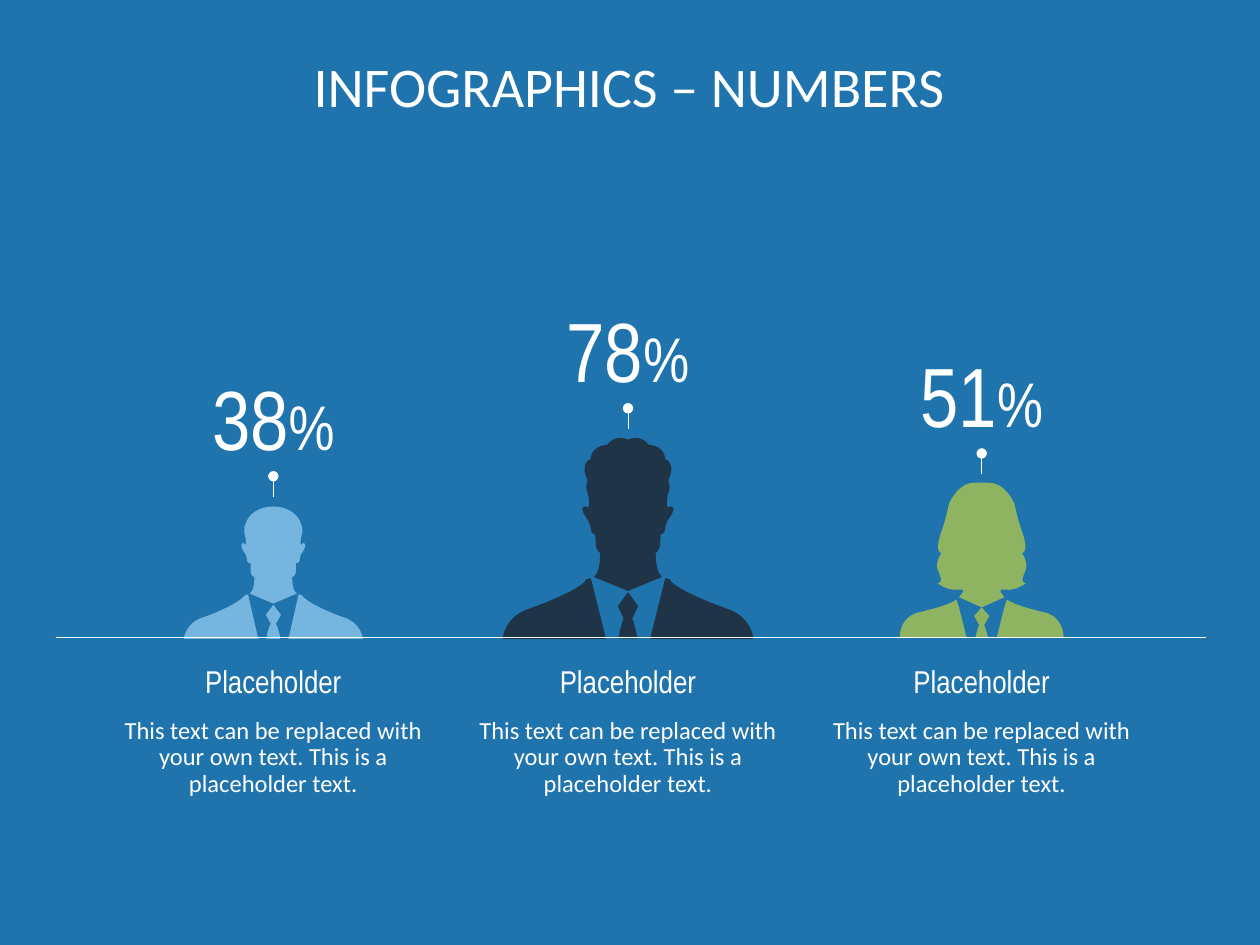
from dataclasses import dataclass

from pptx import Presentation
from pptx.dml.color import RGBColor
from pptx.enum.shapes import MSO_CONNECTOR
from pptx.enum.text import MSO_ANCHOR, PP_ALIGN
from pptx.oxml.ns import qn
from pptx.util import Cm, Pt
from lxml import etree

STRAIGHT = MSO_CONNECTOR.STRAIGHT
CENTER = PP_ALIGN.CENTER
TOP, BOTTOM = MSO_ANCHOR.TOP, MSO_ANCHOR.BOTTOM


@dataclass(frozen=True)
class Theme:
    background: str = "1F74AD"
    white: str = "FFFFFF"
    navy: str = "212E3C"
    sky: str = "85C1E9"
    green: str = "9BBB59"
    body_font: str = "Calibri"
    narrow_font: str = "Arial Narrow"
    title_size: int = 32
    number_size: int = 48
    percent_size: int = 36
    heading_size: int = 18
    body_size: int = 14
    line_width: float = 0.5


THEME = Theme()

# Outlines: right half only, x from the figure's axis, y from the slide top.
# Two values are a line; four or six are a curve with one or two controls.
UNIT = 0.0254  # cm per outline unit
CURVE_STEPS = 8

BALD_MAN = {
    "tie": [(0, 480), (6, 488), (2, 495), (5, 501, 5.5, 507)],
    "head": [(0, 402), (11, 402, 20, 408, 22, 416), (23, 417, 23, 419, 23, 420),
             (23, 422, 23, 423), (21, 429, 22, 433), (22, 432, 24, 431),
             (28, 432, 22, 440), (21, 442, 21, 444), (21, 447, 18, 447),
             (18, 453), (18, 457, 15, 458), (15, 467, 17, 470, 19, 471),
             (0, 479)],
    "jacket": [(20, 472), (22, 472), (24, 474), (31, 481, 53, 489),
               (70, 493, 71, 507), (12, 507)],
}
CURLY_MAN = {
    "tie": [(0, 470), (8, 481), (3.5, 491), (6.5, 499, 7.5, 507)],
    "head": [(0, 349), (10, 344, 16.5, 353), (29.5, 354, 29.5, 364),
             (39, 369, 32, 381), (34, 387, 32.5, 390), (29.5, 398, 31.5, 403),
             (31.5, 402, 34.5, 402), (39.5, 403, 31.5, 413),
             (30, 417, 29.5, 419), (29.5, 424, 26, 424), (25.5, 432),
             (25, 437, 22, 439), (22, 452, 25, 456, 27, 458), (0, 469)],
    "jacket": [(29.5, 459), (30.5, 459), (33.5, 460), (34.5, 462),
               (44.5, 471, 75.5, 482), (98.5, 488, 99.5, 507), (17.5, 507)],
}
WOMAN = {
    "tie": [(0, 482), (6, 489), (2, 496), (4, 501, 5, 506)],
    "head": [(0, 383), (4, 383), (19, 382, 26, 400),
             (26, 400, 29, 414, 32, 422), (35, 430, 36, 438, 32, 439),
             (32, 439, 37, 446, 35, 452), (32, 459, 31, 462, 35, 463),
             (35, 463, 27, 469, 19, 468), (15, 468), (15, 470), (18, 474),
             (0, 482)],
    "jacket": [(18, 482), (20, 476), (28, 481, 42, 484), (45, 485),
               (66, 487, 65, 506), (12, 506)],
}

# Axis and pin top in cm, number, outlines, colour, opacity in percent
FIGURES = [
    (5.51, 9.6, "38", BALD_MAN, THEME.sky, 85),
    (12.66, 8.23, "78", CURLY_MAN, THEME.navy, 90),
    (19.79, 9.14, "51", WOMAN, THEME.green, 90),
]
BASELINE = 12.86
PIN_LENGTH = 0.42
NUMBER_WIDTH, NUMBER_HEIGHT = 3.33, 1.83
CAPTION_TOP, CAPTION_WIDTH, CAPTION_HEIGHT = 13.44, 6.12, 2.39
HEADING = "Placeholder"
BODY = "This text can be replaced with your own text. This is a placeholder text."


def apply(target, values):
    for name, value in values.items():
        setattr(target, name, value)


def trace(outline):
    """Turn lines and curves into a list of points."""
    points = [outline[0]]
    for step in outline[1:]:
        if len(step) == 2:
            points.append(step)
            continue
        start, end = points[-1], step[-2:]
        first = step[:2]
        second = step[2:4]  # equals the end when there is one control
        for index in range(1, CURVE_STEPS + 1):
            t = index / CURVE_STEPS
            weights = ((1 - t) ** 3, 3 * t * (1 - t) ** 2, 3 * t * t * (1 - t), t ** 3)
            knots = (start, first, second, end)
            points.append(tuple(sum(w * knot[axis] for w, knot in zip(weights, knots))
                                for axis in (0, 1)))
    return points


def mirror(points):
    return [(-x, y) for x, y in reversed(points)]


def add_silhouette(page, axis, points, color, opacity):
    corners = [(Cm(axis + UNIT * x), Cm(UNIT * y)) for x, y in points]
    builder = page.shapes.build_freeform(*corners[0])
    builder.add_line_segments(corners[1:], close=True)
    shape = builder.convert_to_shape()
    shape.shadow.inherit = False
    shape.line.fill.background()
    shape.fill.solid()
    shape.fill.fore_color.rgb = RGBColor.from_string(color)
    fill_color = shape._element.spPr.find(qn("a:solidFill")).find(qn("a:srgbClr"))
    etree.SubElement(fill_color, qn("a:alpha"), val=str(opacity * 1000))


def add_text(page, area, paragraphs, anchor=TOP, bottom=0, spacing=0.9, after=10):
    """Each paragraph is a list of (text, font name, size) spans."""
    box = page.shapes.add_textbox(*(Cm(value) for value in area))
    frame = box.text_frame
    apply(frame, {"word_wrap": True, "vertical_anchor": anchor, "margin_left": 0,
                  "margin_right": 0, "margin_top": 0, "margin_bottom": Cm(bottom)})
    for index, spans in enumerate(paragraphs):
        para = frame.add_paragraph() if index else frame.paragraphs[0]
        apply(para, {"alignment": CENTER, "line_spacing": spacing,
                     "space_after": Pt(after)})
        for text, font, size in spans:
            span = para.add_run()
            span.text = text
            apply(span.font, {"name": font, "size": Pt(size)})
            span.font.color.rgb = RGBColor.from_string(THEME.white)


def add_line(page, start, end, tail=None):
    line = page.shapes.add_connector(STRAIGHT, *(Cm(value) for value in start + end))
    line.line.width = Pt(THEME.line_width)
    line.line.color.rgb = RGBColor.from_string(THEME.white)
    properties = line._element.spPr
    if tail:
        etree.SubElement(properties.find(qn("a:ln")), qn("a:tailEnd"), type=tail)
    etree.SubElement(properties, qn("a:effectLst"))


def add_figure(page, axis, pin_top, number, outlines, color, opacity):
    # Caption under the baseline
    add_text(page, (axis - CAPTION_WIDTH / 2, CAPTION_TOP, CAPTION_WIDTH, CAPTION_HEIGHT),
             [[(HEADING, THEME.narrow_font, THEME.heading_size)],
              [(BODY, THEME.body_font, THEME.body_size)]])

    # Person: tie and head span the axis, the jacket has two sides
    tie, head, jacket = (trace(outlines[part]) for part in ("tie", "head", "jacket"))
    for points in (tie + mirror(tie), head + mirror(head), jacket, mirror(jacket)):
        add_silhouette(page, axis, points, color, opacity)

    # Number and its pin
    add_text(page, (axis - NUMBER_WIDTH / 2, pin_top - NUMBER_HEIGHT,
                    NUMBER_WIDTH, NUMBER_HEIGHT),
             [[(number, THEME.narrow_font, THEME.number_size),
               ("%", THEME.narrow_font, THEME.percent_size)]],
             anchor=BOTTOM, bottom=0.2, spacing=0.8)
    add_line(page, (axis, pin_top + PIN_LENGTH), (axis, pin_top), tail="oval")


def main():
    deck = Presentation()
    apply(deck, {"slide_width": Cm(25.4), "slide_height": Cm(19.05)})
    page = deck.slides.add_slide(deck.slide_layouts[6])
    page.background.fill.solid()
    page.background.fill.fore_color.rgb = RGBColor.from_string(THEME.background)

    # Title
    add_text(page, (1.09, 1.19, 23.19, 3),
             [[("INFOGRAPHICS – NUMBERS", THEME.body_font, THEME.title_size)]], after=0)

    # Figures on a common baseline
    for figure in FIGURES:
        add_figure(page, *figure)
    add_line(page, (1.12, BASELINE), (24.31, BASELINE))

    deck.save("out.pptx")


if __name__ == "__main__":
    main()
